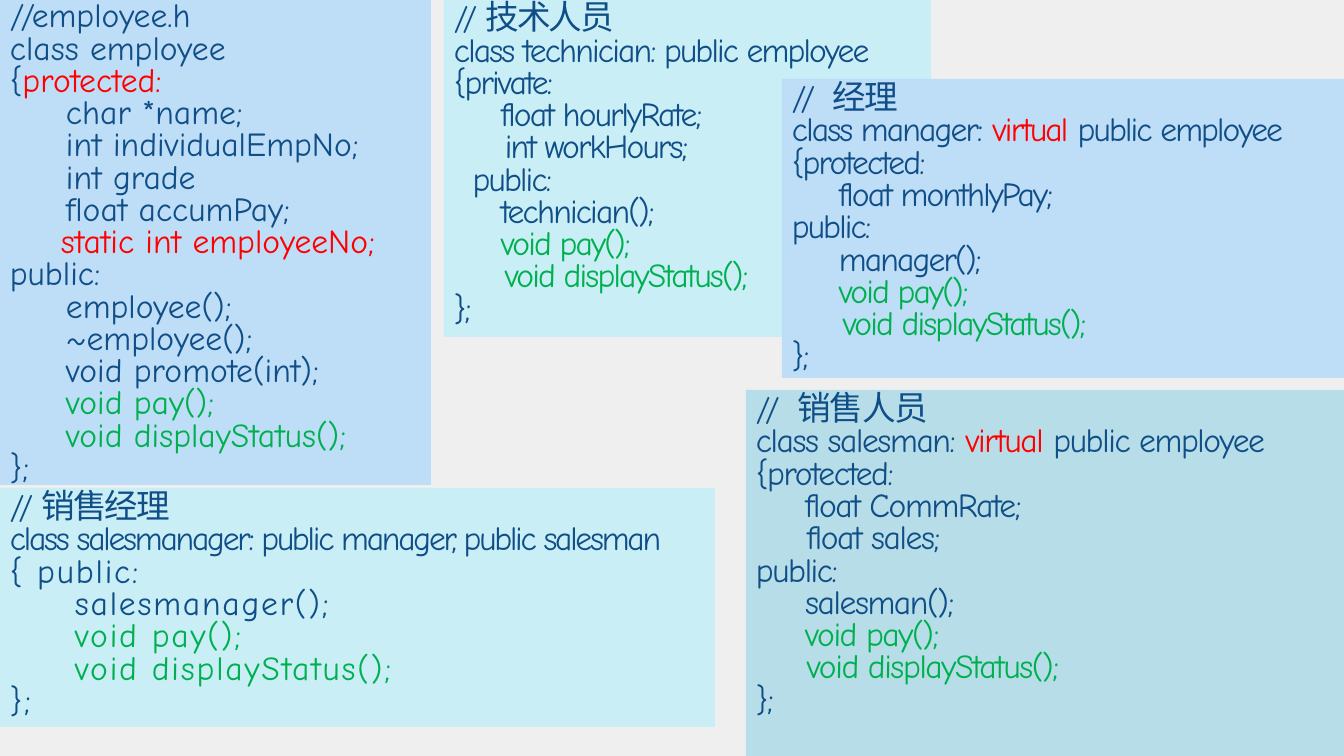
from lxml.etree import SubElement
from pptx import Presentation
from pptx.dml.color import RGBColor
from pptx.enum.shapes import MSO_SHAPE as Shape
from pptx.enum.text import MSO_ANCHOR as Anchor, PP_ALIGN as Align
from pptx.oxml.ns import qn
from pptx.util import Pt

EMU_PER_PX = 12192000 / 1344
COLORS = {
    "background": "EFEFEF", "blue": "BEDDF7", "cyan": "C9EEF6", "teal": "B7DEE8",
    "navy": "104E87", "red": "FF0000", "green": "00B050",
}


def px(length):
    return round(length * EMU_PER_PX)


def color(name):
    return RGBColor.from_string(COLORS[name])


class CodeSlide:
    latin_font = "Comic Neue"
    chinese_font = "Noto Sans CJK JP"
    size = Pt(24)
    line_spacing = 0.8
    hanging = 51

    def __init__(self, presentation):
        self.slide = presentation.slides.add_slide(presentation.slide_layouts[6])
        fill = self.slide.background.fill
        fill.solid()
        fill.fore_color.rgb = color("background")

    def panel(self, left, top, width, height, fill):
        shape = self.slide.shapes.add_shape(
            Shape.RECTANGLE, px(left), px(top), px(width), px(height))
        shape.shadow.inherit = False
        shape.fill.solid()
        shape.fill.fore_color.rgb = color(fill)
        shape.line.fill.background()
        frame = shape.text_frame
        frame.word_wrap = True
        frame.vertical_anchor = Anchor.TOP
        return frame

    def code(self, frame, lines, spacing=0, hanging=hanging):
        """Append lines; each is a string or a list of (color, text) parts."""
        for line in lines:
            parts = [("navy", line)] if isinstance(line, str) else line
            first = frame.paragraphs[0]
            paragraph = frame.add_paragraph() if first.runs else first
            paragraph.alignment = Align.LEFT
            paragraph.line_spacing = self.line_spacing
            properties = paragraph._p.get_or_add_pPr()
            properties.set("marL", str(px(hanging)))
            properties.set("indent", str(-px(hanging)))
            self.style(paragraph.font, parts[0][0], spacing)
            for name, text in parts:
                run = paragraph.add_run()
                run.text = text
                if len(parts) > 1:
                    run.font.color.rgb = color(name)

    def style(self, font, name, spacing):
        font.size = self.size
        font.color.rgb = color(name)
        font.name = self.latin_font
        font._rPr.set("spc", str(round(spacing * 100)))
        SubElement(font._rPr, qn("a:ea")).set("typeface", self.chinese_font)


def green(text):
    return [("green", text)]


def heading(class_name):
    return [("navy", f"class {class_name}: "), ("red", "virtual"),
            ("navy", " public employee")]


PAY = green("     void pay();")
DISPLAY = green("     void displayStatus();")
TABBED_DISPLAY = green("\tvoid displayStatus();")


def main():
    presentation = Presentation()
    presentation.slide_width = px(1344)
    presentation.slide_height = px(756)
    slide = CodeSlide(presentation)

    # Base class
    employee = slide.panel(0, -3, 431, 488, "blue")
    slide.code(employee, [
        "//employee.h",
        "class employee",
        [("navy", "{"), ("red", "protected:")],
        "     char *name;",
        "     int individualEmpNo;",
        "     int grade",
        "     float accumPay;",
        [("red", "\tstatic int employeeNo;")],
        "public:",
        "     employee();",
        "     ~employee();",
        "     void promote(int);",
        PAY,
        DISPLAY,
        "};",
    ])

    # Direct subclasses
    technician = slide.panel(444, -1, 487, 338, "cyan")
    slide.code(technician, [
        "//技术人员",
        "class technician: public employee",
        "{private:",
        "     float hourlyRate;",
        "\tint workHours;",
        "  public:",
        "     technician();",
        PAY,
        TABBED_DISPLAY,
        "};",
    ], spacing=-1.3)

    manager = slide.panel(782, 79, 562, 299, "blue")
    slide.code(manager, [
        "// 经理",
        heading("manager"),
        "{protected:",
        "     float monthlyPay;",
        "public:",
        "     manager();",
        PAY,
        TABBED_DISPLAY,
        "};",
    ], spacing=-1.3)

    salesman = slide.panel(746, 390, 598, 367, "teal")
    slide.code(salesman, [
        "// 销售人员",
        heading("salesman"),
        "{protected:",
        "     float CommRate;",
        "\tfloat sales;",
        "public:",
        "     salesman();",
        PAY,
        TABBED_DISPLAY,
        "};",
    ], spacing=-1)

    # Class with two bases
    sales_manager = slide.panel(0, 488, 715, 239, "cyan")
    slide.code(sales_manager, ["//销售经理"], spacing=-1.3)
    slide.code(sales_manager, ["class salesmanager: public manager, public salesman"],
               spacing=-1.6, hanging=0)
    slide.code(sales_manager, ["{ public:", "     salesmanager();", PAY, DISPLAY, "};"],
               spacing=1.3, hanging=0)

    presentation.save("out.pptx")


if __name__ == "__main__":
    main()
